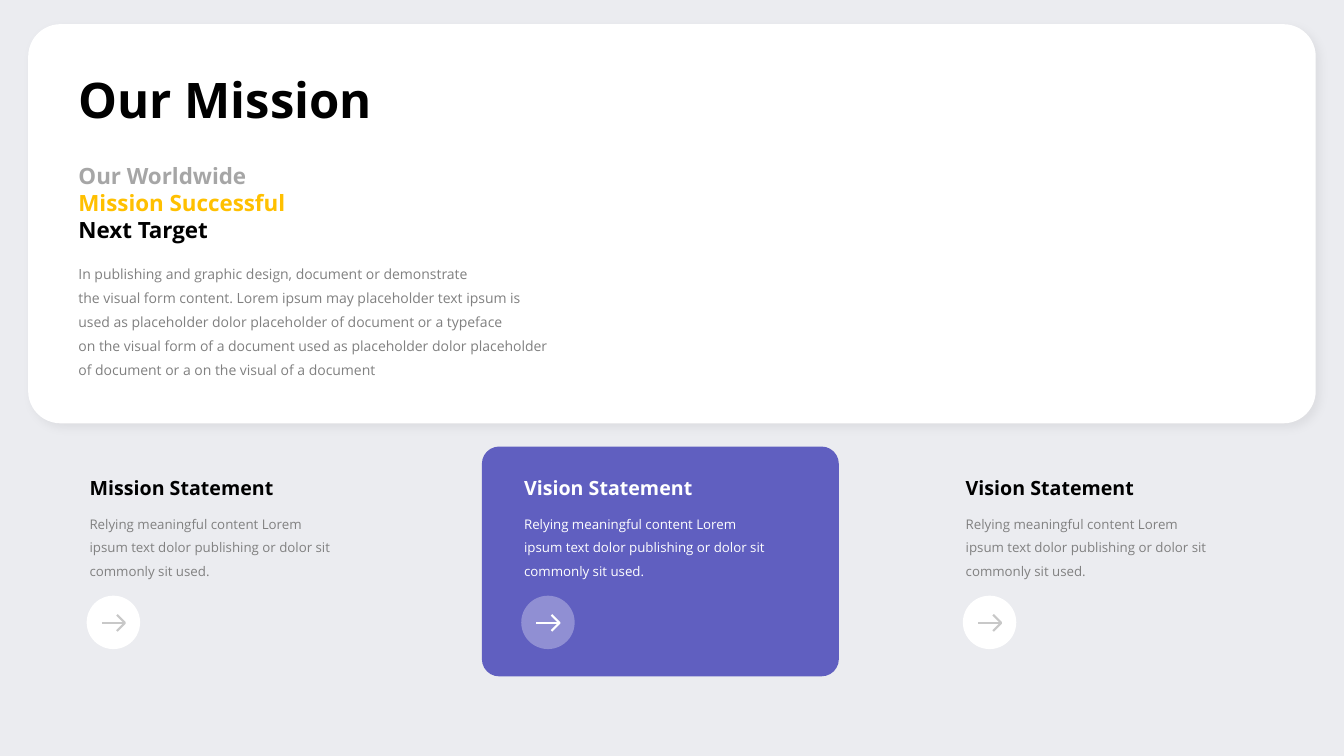
from lxml import etree
from pptx import Presentation
from pptx import util as u
from pptx.dml.color import RGBColor
from pptx.enum import shapes, text
from pptx.oxml import ns

PX = 9144  # 100 px to the inch
FONT = "Open Sans"
BLACK, WHITE, GREY = "000000", "FFFFFF", "808080"


def px(*vals):
    return [val * PX for val in vals]


def tint(color, code):
    color.rgb = RGBColor.from_string(code)


def sub(node, tag, **attrs):
    return etree.SubElement(node, ns.qn(tag), attrs)


def write(slide, box, lines, size, color=BLACK, bold=False, wrap=False, lead=None):
    """Each line is a string, or a pair of string and colour."""
    frame = slide.shapes.add_textbox(*px(*box)).text_frame
    frame.word_wrap = wrap
    frame.auto_size = text.MSO_AUTO_SIZE.SHAPE_TO_FIT_TEXT
    for i, line in enumerate(lines):
        words, code = (line, color) if isinstance(line, str) else line
        para = frame.paragraphs[0] if i == 0 else frame.add_paragraph()
        if lead:
            para.line_spacing = u.Pt(lead)
        run = para.add_run()
        run.text = words
        run.font.name, run.font.size, run.font.bold = FONT, u.Pt(size), bold
        tint(run.font.color, code)


def panel(slide, kind, box, color, curve=None, alpha=None):
    shape = slide.shapes.add_shape(kind, *px(*box))
    shape.fill.solid()
    tint(shape.fill.fore_color, color)
    shape.line.fill.background()
    shape.shadow.inherit = False
    if curve:
        shape.adjustments[0] = curve
    if alpha:
        rgb = shape.element.spPr.find(".//" + ns.qn("a:srgbClr"))
        sub(rgb, "a:alpha", val=str(alpha * 1000))
    return shape


def shade(shape):
    """Soft shadow to the lower right."""
    glow = sub(shape.element.spPr.find(ns.qn("a:effectLst")), "a:outerShdw",
               blurRad=str(u.Pt(7)), dist=str(u.Pt(4)), dir="2700000",
               algn="tl", rotWithShape="0")
    sub(sub(glow, "a:srgbClr", val=BLACK), "a:alpha", val="5000")


def arrow(slide, x, y, color):
    """Arrow inside the disc whose top left corner is x, y."""
    group = slide.shapes.add_group_shape()
    pen = group.shapes.build_freeform(x + 30, y + 19, scale=PX)
    pen.add_line_segments([(x + 38, y + 27), (x + 30, y + 35)], close=False)
    head = pen.convert_to_shape()
    head.fill.background()
    head.shadow.inherit = False
    shaft = group.shapes.add_connector(
        shapes.MSO_CONNECTOR.STRAIGHT, *px(x + 15, y + 27, x + 38, y + 27))
    sub(shaft.element.spPr, "a:effectLst")
    for part in (head, shaft):
        part.line.width = u.Pt(1.5)
        tint(part.line.color, color)


def hero(slide, x, y, w, h):
    """Large white card with title, subtitle and body."""
    shade(panel(slide, shapes.MSO_SHAPE.ROUNDED_RECTANGLE, (x, y, w, h), WHITE, 0.081))
    left = x + 40
    write(slide, (left, y + 40, 316, 69), ["Our Mission"], 35, bold=True)
    write(slide, (left, y + 132, 228, 91),
          [("Our Worldwide", "A6A6A6"), ("Mission Successful", "FFC000"), "Next Target"],
          16, bold=True)
    write(slide, (left, y + 228, 496, 129), [
        "In publishing and graphic design, document or demonstrate",
        "the visual form content. Lorem ipsum may placeholder text ipsum is",
        "used as placeholder dolor placeholder of document or a typeface",
        "on the visual form of a document used as placeholder dolor placeholder "
        "of document or a on the visual of a document",
    ], 10, GREY, wrap=True, lead=17)


def column(slide, x, y, title, w, lit=False):
    """Heading, text and arrow disc; a lit one stands on a violet card."""
    if lit:
        panel(slide, shapes.MSO_SHAPE.ROUNDED_RECTANGLE,
              (x - 32, y - 24, 354, 228), "605FC0", 0.075)
    write(slide, (x, y, w, 34), [title], 14, WHITE if lit else BLACK, bold=True)
    write(slide, (x, y + 32, 284, 82), [
        "Relying meaningful content Lorem",
        "ipsum text dolor publishing or dolor sit commonly sit used.",
    ], 9.5, WHITE if lit else GREY, wrap=True, lead=17)
    disc = (x + 7, y + 124)
    panel(slide, shapes.MSO_SHAPE.OVAL, (*disc, 53, 53), WHITE, alpha=30 if lit else None)
    arrow(slide, *disc, WHITE if lit else "C8C8C8")


def main():
    deck = Presentation()
    deck.slide_width, deck.slide_height = px(1333, 750)
    slide = deck.slides.add_slide(deck.slide_layouts[6])
    slide.background.fill.solid()
    tint(slide.background.fill.fore_color, "EBECF0")

    hero(slide, 28, 24, 1277, 396)
    column(slide, 79, 467, "Mission Statement", 212)
    column(slide, 510, 467, "Vision Statement", 196, lit=True)
    column(slide, 948, 467, "Vision Statement", 196)
    deck.save("out.pptx")


if __name__ == "__main__":
    main()
